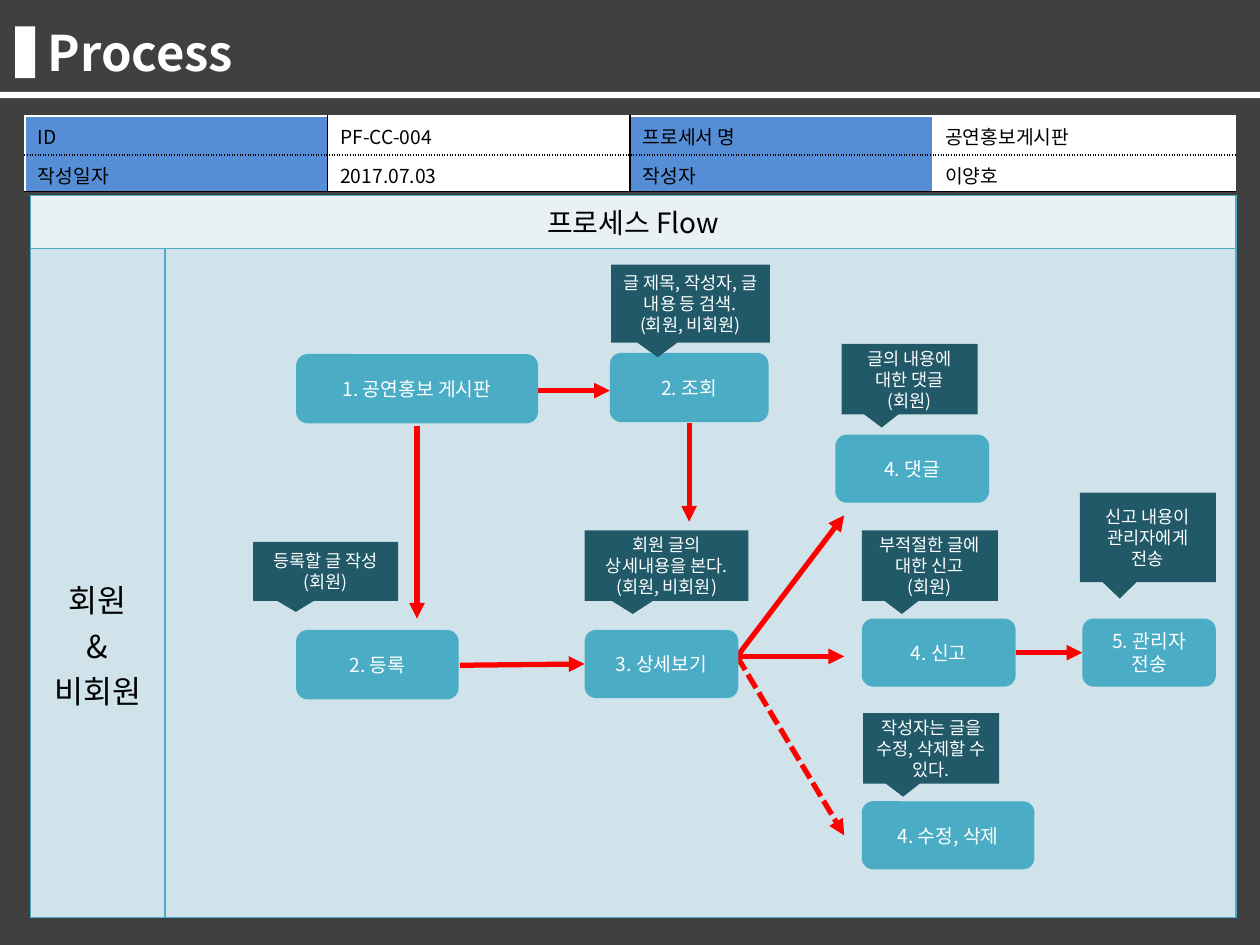
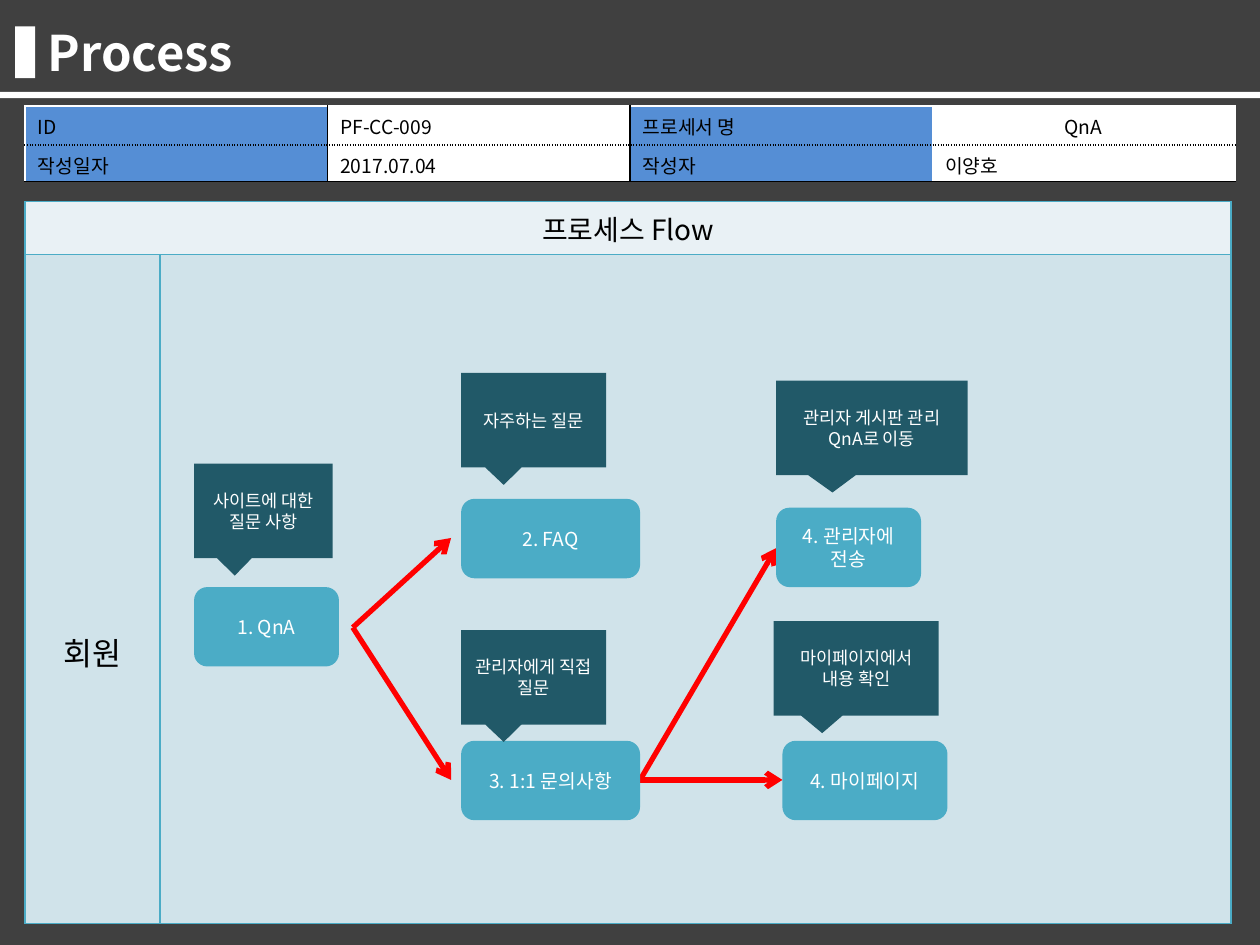
from dataclasses import dataclass

from lxml.etree import SubElement
from pptx import Presentation
from pptx.dml.color import RGBColor
from pptx.enum.dml import MSO_LINE
from pptx.enum.shapes import MSO_CONNECTOR, MSO_SHAPE
from pptx.enum.text import MSO_ANCHOR, PP_ALIGN
from pptx.oxml.ns import qn
from pptx.util import Inches, Pt


@dataclass(frozen=True)
class Theme:
    font: str = "Noto Sans CJK KR"
    backdrop: str = "404040"
    white: str = "FFFFFF"
    black: str = "000000"
    label: str = "558ED5"
    step: str = "4BACC6"
    note: str = "215968"
    arrow: str = "FF0000"
    flow_header: str = "E9F1F5"
    flow_body: str = "D0E3EA"
    title_size: int = 28
    actor_size: int = 18
    header_size: int = 16
    body_size: int = 11
    note_size: int = 10
    arrow_width: int = 3


THEME = Theme()
TITLE_ONLY = 5


def paint(fill, color):
    fill.solid()
    fill.fore_color.rgb = RGBColor.from_string(color)


def write(frame, text, size, color, align=PP_ALIGN.LEFT, bold=False):
    frame.text = text
    frame.word_wrap = True
    for paragraph in frame.paragraphs:
        paragraph.alignment = align
        font = paragraph.font
        font.size = Pt(size)
        font.bold = bold
        font.color.rgb = RGBColor.from_string(color)
        font.name = THEME.font
        defaults = paragraph._p.pPr.find(qn("a:defRPr"))
        SubElement(defaults, qn("a:ea"), typeface=THEME.font)


def add_block(slide, kind, box, color):
    block = slide.shapes.add_shape(kind, *map(Inches, box))
    block.shadow.inherit = False
    paint(block.fill, color)
    block.line.fill.background()
    return block


def add_borders(cell, **edges):
    properties = cell._tc.get_or_add_tcPr()
    for side in "LRTB":
        color, dash = edges[side]
        line = SubElement(properties, qn(f"a:ln{side}"), w=str(Pt(1)))
        SubElement(SubElement(line, qn("a:solidFill")), qn("a:srgbClr"), val=color)
        SubElement(line, qn("a:prstDash"), val=dash)


def add_grid(slide, left, top, widths, heights):
    box = map(Inches, (left, top, sum(widths), sum(heights)))
    grid = slide.shapes.add_table(len(heights), len(widths), *box).table
    grid.first_row = grid.horz_banding = False
    for column, width in zip(grid.columns, widths):
        column.width = Inches(width)
    for row, height in zip(grid.rows, heights):
        row.height = Inches(height)
    return grid


def add_heading(slide, title):
    paint(slide.background.fill, THEME.backdrop)
    heading = slide.shapes.title
    heading.left, heading.top, heading.width, heading.height = map(
        Inches, (0.28, 0.13, 8.98, 0.57))
    write(heading.text_frame, title, THEME.title_size, THEME.white, bold=True)
    heading.text_frame.vertical_anchor = MSO_ANCHOR.MIDDLE
    for box in ((0.12, 0.21, 0.16, 0.41), (0, 0.73, 10, 0.05)):
        add_block(slide, MSO_SHAPE.RECTANGLE, box, THEME.white)


def add_summary(slide, left, top, rows, name_align):
    grid = add_grid(slide, left, top, [2.4] * 4, [0.31, 0.29])
    white, black = (THEME.white, "solid"), (THEME.black, "solid")
    dotted = (THEME.black, "sysDot")
    verticals = [white, black, black, white, white]
    horizontals = [white, dotted, black]
    for r, row in enumerate(rows):
        for c, text in enumerate(row):
            cell = grid.cell(r, c)
            add_borders(cell, L=verticals[c], R=verticals[c + 1],
                        T=horizontals[r], B=horizontals[r + 1])
            paint(cell.fill, THEME.white if c % 2 else THEME.label)
            cell.margin_bottom = Inches(0.02)
            align = name_align if (r, c) == (0, 3) else PP_ALIGN.LEFT
            write(cell.text_frame, text, THEME.body_size, THEME.black, align)


def add_flow_panel(slide, left, top, actor, actor_drop):
    grid = add_grid(slide, left, top, [1.07, 8.5], [0.42, 5.31])
    edge = (THEME.step, "solid")
    for r, color in enumerate((THEME.flow_header, THEME.flow_body)):
        for c in range(2):
            cell = grid.cell(r, c)
            add_borders(cell, L=edge, R=edge, T=edge, B=edge)
            paint(cell.fill, color)
    grid.cell(0, 0).merge(grid.cell(0, 1))
    write(grid.cell(0, 0).text_frame, "프로세스 Flow", THEME.header_size,
          THEME.black, PP_ALIGN.CENTER)
    actor_cell = grid.cell(1, 0)
    actor_cell.margin_top = Inches(actor_drop)
    write(actor_cell.text_frame, actor, THEME.actor_size, THEME.black, PP_ALIGN.CENTER)


def add_label(slide, kind, box, text, color, size):
    label = add_block(slide, kind, box, color)
    label.text_frame.vertical_anchor = MSO_ANCHOR.MIDDLE
    write(label.text_frame, text, size, THEME.white, PP_ALIGN.CENTER)
    return label


def add_arrow(slide, ends, head, dashed):
    arrow = slide.shapes.add_connector(MSO_CONNECTOR.STRAIGHT, *map(Inches, ends))
    arrow.line.color.rgb = RGBColor.from_string(THEME.arrow)
    arrow.line.width = Pt(THEME.arrow_width)
    if dashed:
        arrow.line.dash_style = MSO_LINE.SQUARE_DOT
    SubElement(arrow.line._get_or_add_ln(), qn("a:tailEnd"), type=head)
    SubElement(arrow._element.spPr, qn("a:effectLst"))


def add_flow(slide, left, top, steps, notes, arrows, head):
    for x1, y1, x2, y2, *dashed in arrows:
        ends = (left + x1, top + y1, left + x2, top + y2)
        add_arrow(slide, ends, head, bool(dashed))
    for text, x, y, width, height in steps:
        add_label(slide, MSO_SHAPE.ROUNDED_RECTANGLE, (left + x, top + y, width, height),
                  text, THEME.step, THEME.body_size)
    for text, x, y, width, height in notes:
        note = add_label(slide, MSO_SHAPE.RECTANGULAR_CALLOUT,
                         (left + x, top + y, width, height),
                         text, THEME.note, THEME.note_size)
        note.adjustments[0], note.adjustments[1] = -0.206, 0.685


def add_process(deck, code, name, date, summary_top, panel, actor, actor_drop,
                steps, notes, arrows, head, name_align=PP_ALIGN.LEFT):
    slide = deck.slides.add_slide(deck.slide_layouts[TITLE_ONLY])
    add_heading(slide, "Process")
    rows = [("ID", code, "프로세서 명", name), ("작성일자", date, "작성자", "이양호")]
    add_flow_panel(slide, *panel, actor, actor_drop)
    add_summary(slide, 0.2, summary_top, rows, name_align)
    add_flow(slide, *panel, steps, notes, arrows, head)


deck = Presentation()
deck.slide_width, deck.slide_height = Inches(10), Inches(7.5)

add_process(
    deck, "PF-CC-004", "공연홍보게시판", "2017.07.03", 0.92, (0.24, 1.55),
    "회원\n&\n비회원", 2.6,
    steps=[
        ("1. 공연홍보 게시판", 2.11, 1.26, 1.92, 0.55),
        ("2. 등록", 2.11, 3.45, 1.29, 0.55),
        ("2. 조회", 4.6, 1.25, 1.26, 0.55),
        ("3. 상세보기", 4.4, 3.45, 1.22, 0.54),
        ("4. 댓글", 6.39, 1.9, 1.22, 0.54),
        ("4. 신고", 6.6, 3.36, 1.22, 0.54),
        ("4. 수정, 삭제", 6.6, 4.81, 1.37, 0.54),
        ("5. 관리자 전송", 8.35, 3.36, 1.06, 0.54),
    ],
    notes=[
        ("등록할 글 작성\n(회원)", 1.77, 2.75, 1.15, 0.47),
        ("글 제목, 작성자, 글 내용 등 검색.\n(회원, 비회원)", 4.61, 0.55, 1.26, 0.62),
        ("회원 글의 상세내용을 본다.\n(회원, 비회원)", 4.4, 2.66, 1.3, 0.56),
        ("글의 내용에 대한 댓글\n(회원)", 6.44, 1.18, 1.08, 0.56),
        ("부적절한 글에 대한 신고\n(회원)", 6.6, 2.66, 1.08, 0.56),
        ("작성자는 글을 수정, 삭제할 수 있다.", 6.61, 4.11, 1.08, 0.56),
        ("신고 내용이 관리자에게 전송", 8.33, 2.36, 1.08, 0.71),
    ],
    arrows=[
        (3.07, 1.83, 3.07, 3.36),
        (4.03, 1.55, 4.6, 1.55),
        (5.23, 1.81, 5.23, 2.59),
        (3.41, 3.73, 4.4, 3.72),
        (5.61, 3.66, 6.46, 2.54),
        (5.61, 3.66, 6.46, 3.66),
        (5.61, 3.66, 6.46, 5.08, "dashed"),
        (7.82, 3.63, 8.35, 3.63),
    ],
    head="triangle",
)

add_process(
    deck, "PF-CC-009", "QnA", "2017.07.04", 0.84, (0.2, 1.6), "회원", 2.97,
    steps=[
        ("1. QnA", 1.34, 3.06, 1.15, 0.63),
        ("2. FAQ", 3.46, 2.36, 1.42, 0.63),
        ("3. 1:1 문의사항", 3.46, 4.28, 1.42, 0.63),
        ("4. 관리자에 전송", 5.96, 2.43, 1.15, 0.63),
        ("4. 마이페이지", 6.01, 4.28, 1.31, 0.63),
    ],
    notes=[
        ("사이트에 대한 질문 사항", 1.34, 2.08, 1.1, 0.75),
        ("자주하는 질문", 3.46, 1.36, 1.15, 0.75),
        ("관리자에게 직접 질문", 3.46, 3.4, 1.15, 0.75),
        ("관리자 게시판 관리 QnA로 이동", 5.96, 1.42, 1.52, 0.75),
        ("마이페이지에서 내용 확인", 5.94, 3.33, 1.31, 0.75),
    ],
    arrows=[
        (2.6, 3.38, 3.38, 2.67),
        (2.6, 3.38, 3.38, 4.59),
        (4.88, 4.59, 6.01, 4.59),
        (4.88, 4.59, 5.96, 2.75),
    ],
    head="arrow",
    name_align=PP_ALIGN.CENTER,
)

deck.save("out.pptx")
